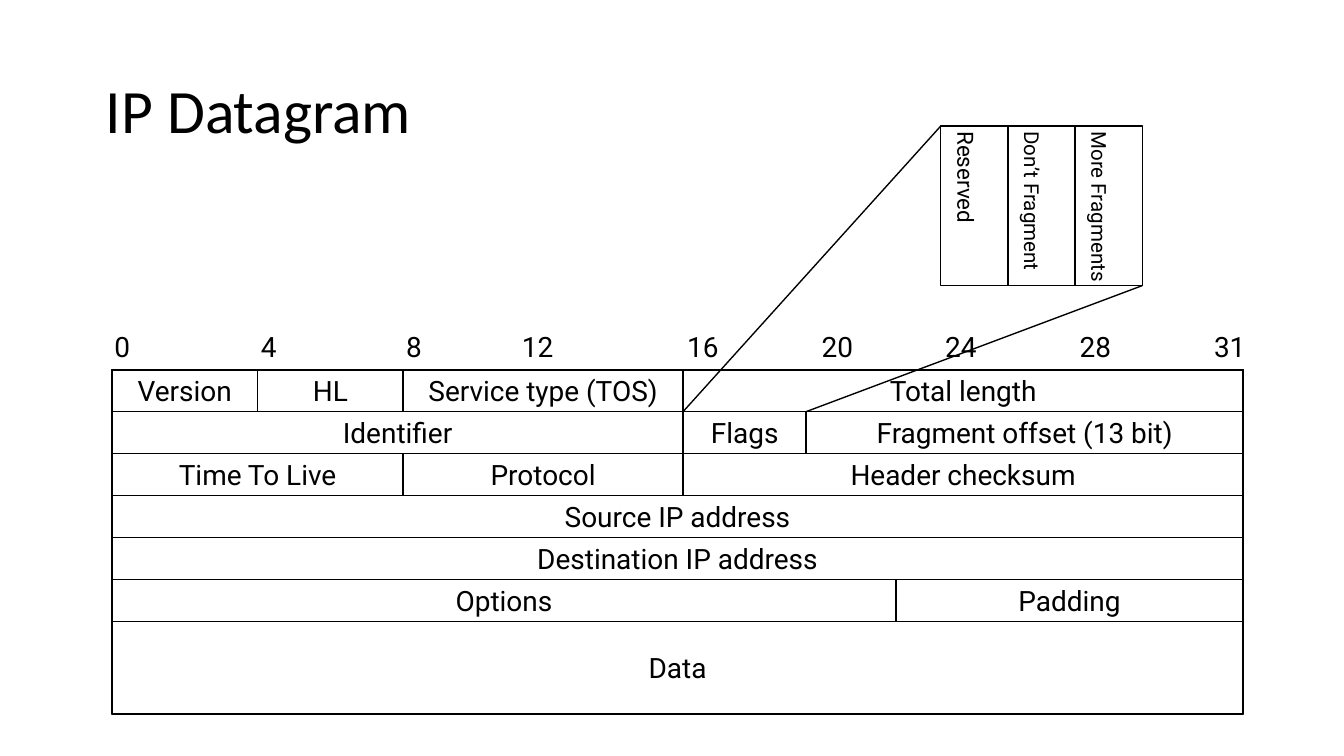
from dataclasses import dataclass
from typing import Optional

from lxml.etree import SubElement
from pptx import Presentation
from pptx.dml.color import RGBColor
from pptx.enum.shapes import MSO_CONNECTOR, MSO_SHAPE
from pptx.enum.text import MSO_ANCHOR, MSO_AUTO_SIZE, PP_ALIGN
from pptx.oxml.ns import qn
from pptx.util import Inches, Pt


@dataclass(frozen=True)
class Theme:
    ink: RGBColor = RGBColor(0, 0, 0)
    paper: RGBColor = RGBColor(255, 255, 255)
    title_font: str = "Calibri"
    body_font: str = "Roboto"
    title_size: float = 33
    body_size: float = 15
    border: float = 1
    thin_line: float = 0.75


@dataclass(frozen=True)
class Field:
    name: str
    row: int
    left: float
    right: float
    height: float = 5 / 16


@dataclass(frozen=True)
class BitNumber:
    value: str
    left: float


@dataclass(frozen=True)
class Flag:
    name: str
    size: float


THEME = Theme()

# Slide and header grid, in inches
SLIDE_WIDTH = 10
SLIDE_HEIGHT = SLIDE_WIDTH * 9 / 16
LEFT, RIGHT, TOP = 5 / 6, 9.25, 2.75
ROW = 5 / 16
DATA_HEIGHT = 11 / 16
BYTE, HALF, FLAGS_END, OPTIONS_END = 3, 61 / 12, 6, 20 / 3
VERSION_END = (LEFT + BYTE) / 2

FIELDS = [
    Field("Version", 0, LEFT, VERSION_END),
    Field("HL", 0, VERSION_END, BYTE),
    Field("Service type (TOS)", 0, BYTE, HALF),
    Field("Total length", 0, HALF, RIGHT),
    Field("Identifier", 1, LEFT, HALF),
    Field("Flags", 1, HALF, FLAGS_END),
    Field("Fragment offset (13 bit)", 1, FLAGS_END, RIGHT),
    Field("Time To Live", 2, LEFT, BYTE),
    Field("Protocol", 2, BYTE, HALF),
    Field("Header checksum", 2, HALF, RIGHT),
    Field("Source IP address", 3, LEFT, RIGHT),
    Field("Destination IP address", 4, LEFT, RIGHT),
    Field("Options", 5, LEFT, OPTIONS_END),
    Field("Padding", 5, OPTIONS_END, RIGHT),
    Field("Data", 6, LEFT, RIGHT, DATA_HEIGHT),
]

BIT_NUMBERS = [
    BitNumber("0", 0.76), BitNumber("4", 1.85), BitNumber("8", 2.93),
    BitNumber("12", 3.79), BitNumber("16", 5.02), BitNumber("20", 6.02),
    BitNumber("24", 6.94), BitNumber("28", 7.94), BitNumber("31", 8.94),
]

# Enlarged flags
FLAGS = [Flag("Reserved", 12), Flag("Don’t Fragment", 11), Flag("More Fragments", 11)]
FLAG_LEFT, FLAG_TOP, FLAG_WIDTH, FLAG_HEIGHT = 7, 15 / 16, 0.5, 19 / 16


def write(shape, text: str, *, size: float = THEME.body_size,
          font: str = THEME.body_font, align=PP_ALIGN.CENTER,
          anchor=MSO_ANCHOR.MIDDLE, wrap: bool = False,
          margins: tuple[float, float] = (0.09, 0.04),
          spacing: Optional[float] = None, vertical: bool = False,
          grow: bool = False) -> None:
    frame = shape.text_frame
    frame.word_wrap = wrap
    frame.vertical_anchor = anchor
    frame.margin_left = frame.margin_right = Inches(margins[0])
    frame.margin_top = frame.margin_bottom = Inches(margins[1])
    frame.auto_size = MSO_AUTO_SIZE.SHAPE_TO_FIT_TEXT if grow else MSO_AUTO_SIZE.NONE
    if vertical:
        shape.element.txBody.find(qn("a:bodyPr")).set("vert", "eaVert")
    paragraph = frame.paragraphs[0]
    paragraph.alignment = align
    if spacing:
        paragraph.line_spacing = spacing
    run = paragraph.add_run()
    run.text = text
    run.font.name = font
    run.font.size = Pt(size)
    run.font.color.rgb = THEME.ink


def add_box(slide, left: float, top: float, width: float, height: float,
            line: float = THEME.border, fill: Optional[RGBColor] = None):
    box = slide.shapes.add_shape(MSO_SHAPE.RECTANGLE, Inches(left), Inches(top),
                                 Inches(width), Inches(height))
    box.shadow.inherit = False
    if fill is None:
        box.fill.background()
    else:
        box.fill.solid()
        box.fill.fore_color.rgb = fill
    box.line.color.rgb = THEME.ink
    box.line.width = Pt(line)
    return box


def add_label(slide, left: float, top: float, width: float, height: float):
    return slide.shapes.add_textbox(Inches(left), Inches(top),
                                    Inches(width), Inches(height))


def add_zoom_line(slide, start: tuple[float, float], end: tuple[float, float]) -> None:
    zoom_line = slide.shapes.add_connector(
        MSO_CONNECTOR.STRAIGHT, *map(Inches, start), *map(Inches, end))
    zoom_line.line.color.rgb = THEME.ink
    zoom_line.line.width = Pt(THEME.thin_line)
    SubElement(zoom_line.element.spPr, qn("a:effectLst"))


def draw_field(slide, field: Field) -> None:
    box = add_box(slide, field.left, TOP + field.row * ROW,
                  field.right - field.left, field.height)
    write(box, field.name)


def draw_bit_number(slide, bit: BitNumber) -> None:
    width = 0.3 if len(bit.value) == 1 else 0.42
    write(add_label(slide, bit.left, 2.41, width, 0.34), bit.value, grow=True)


def draw_flag(slide, flag: Flag, position: int) -> None:
    box = add_box(slide, FLAG_LEFT + position * FLAG_WIDTH, FLAG_TOP,
                  FLAG_WIDTH, FLAG_HEIGHT, THEME.thin_line, THEME.paper)
    write(box, flag.name, size=flag.size, anchor=MSO_ANCHOR.BOTTOM, vertical=True)


def main() -> None:
    deck = Presentation()
    deck.slide_width, deck.slide_height = Inches(SLIDE_WIDTH), Inches(SLIDE_HEIGHT)
    slide = deck.slides.add_slide(deck.slide_layouts[6])

    # Title
    write(add_label(slide, 0.69, 0.3, 8.62, 1.09), "IP Datagram",
          size=THEME.title_size, font=THEME.title_font, align=PP_ALIGN.LEFT,
          wrap=True, margins=(0.1, 0.05), spacing=0.9)

    # Datagram frame, fields and bit numbers
    add_box(slide, LEFT, TOP, RIGHT - LEFT, 6 * ROW + DATA_HEIGHT)
    for field in FIELDS:
        draw_field(slide, field)
    for bit in BIT_NUMBERS:
        draw_bit_number(slide, bit)

    # Flags and the lines that enlarge them
    for position, flag in enumerate(FLAGS):
        draw_flag(slide, flag, position)
    flags_right = FLAG_LEFT + len(FLAGS) * FLAG_WIDTH
    add_zoom_line(slide, (HALF, TOP + ROW), (FLAG_LEFT, FLAG_TOP))
    add_zoom_line(slide, (FLAGS_END, TOP + ROW), (flags_right, FLAG_TOP + FLAG_HEIGHT))

    deck.save("out.pptx")


if __name__ == "__main__":
    main()
